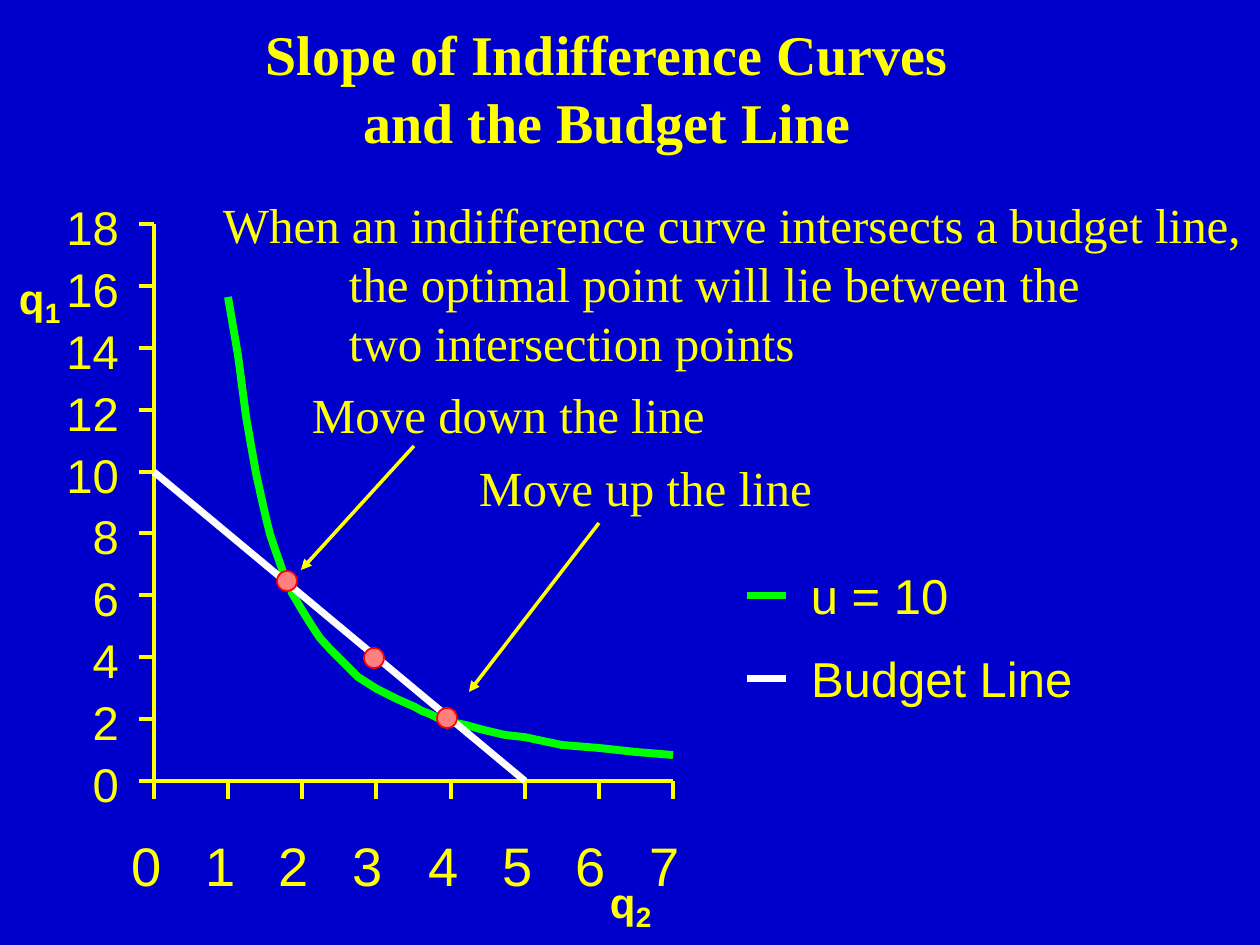
from lxml import etree
from pptx import Presentation
from pptx.dml.color import RGBColor
from pptx.enum.shapes import MSO_CONNECTOR, MSO_SHAPE
from pptx.enum.text import MSO_ANCHOR, MSO_AUTO_SIZE, PP_ALIGN
from pptx.oxml.ns import qn
from pptx.util import Pt

SCALE = 914400 / 126
STRAIGHT, OVAL = MSO_CONNECTOR.STRAIGHT, MSO_SHAPE.OVAL
LEFT, MID, RIGHT = PP_ALIGN.LEFT, PP_ALIGN.CENTER, PP_ALIGN.RIGHT
TOP, FIXED = MSO_ANCHOR.TOP, MSO_AUTO_SIZE.NONE
BLUE, YELLOW, GREEN, WHITE = "0000CC", "FFFF00", "00FF00", "FFFFFF"
PINK, RED = "FF8080", "FF0000"
SANS, SERIF = "Arial", "Times New Roman"
AXIS_X, AXIS_Y, END_X, END_Y = 154, 781, 673, 224
MAX_X, MAX_Y = 7, 18
CURVE = [
    (228, 297), (233, 326), (238, 355), (246, 416), (251, 445), (256, 473),
    (261, 496), (266, 518), (270, 534), (275, 549), (280, 563), (284, 575),
    (289, 583), (292, 593), (302, 610), (312, 626), (320, 638), (330, 649),
    (340, 659), (349, 668), (358, 677), (377, 689), (387, 694), (397, 699),
    (415, 707), (422, 711), (430, 714), (438, 718), (450, 722), (466, 725),
    (484, 730), (505, 735), (524, 737), (562, 745), (599, 748), (636, 752),
    (673, 755),
]


def px(num):
    """Turn pixels into EMU."""
    return round(num * SCALE)


def color(code):
    """Turn a hex string into a colour."""
    return RGBColor.from_string(code)


def plot_x(val):
    """Give the pixel place of a value on the q2 axis."""
    return round(AXIS_X + val * (END_X - AXIS_X) / MAX_X)


def plot_y(val):
    """Give the pixel place of a value on the q1 axis."""
    return round(AXIS_Y - val * (AXIS_Y - END_Y) / MAX_Y)


def apply(item, vals):
    """Set attributes from a dict."""
    for name, val in vals.items():
        setattr(item, name, val)


def stroke(shape, code, width):
    """Format the line of a shape."""
    shape.line.color.rgb = color(code)
    shape.line.width = Pt(width)


def add_line(slide, start, end, code=YELLOW, width=2.75, arrow=False):
    """Draw a straight line, with an arrowhead at its end if asked."""
    line = slide.shapes.add_connector(STRAIGHT, *map(px, start + end))
    stroke(line, code, width)
    props = line._element.spPr
    if arrow:
        etree.SubElement(props.find(qn("a:ln")), qn("a:tailEnd"), type="triangle")
    etree.SubElement(props, qn("a:effectLst"))


def write(shape, lines, size, face=SANS, bold=False, align=LEFT, inset=(0, 0), hang=0):
    """Fill a shape with lines of text, indenting all but the first."""
    frame = shape.text_frame
    side, edge = map(px, inset)
    apply(frame, {
        "word_wrap": False, "auto_size": FIXED, "vertical_anchor": TOP,
        "margin_left": side, "margin_right": side,
        "margin_top": edge, "margin_bottom": edge,
    })
    frame.text = "\n".join(lines)
    for rank, para in enumerate(frame.paragraphs):
        if hang and rank:
            para._p.get_or_add_pPr().set("marL", str(px(hang)))
        para.alignment = align
        apply(para.font, {"name": face, "size": Pt(size), "bold": bold})
        para.font.color.rgb = color(YELLOW)


def add_text(slide, box, lines, size, **style):
    """Add a text box."""
    write(slide.shapes.add_textbox(*map(px, box)), lines, size, **style)


def add_title(slide):
    """Place and fill the title."""
    title = slide.shapes.title
    apply(title, dict(zip(("left", "top", "width", "height"), map(px, (265, 20, 684, 135)))))
    lines = ["Slope of Indifference Curves", "and the Budget Line"]
    write(title, lines, 32, face=SERIF, bold=True, align=MID)


def add_axes(slide):
    """Draw both axes with ticks, numbers and names."""
    add_line(slide, (AXIS_X, END_Y), (AXIS_X, AXIS_Y))
    add_line(slide, (AXIS_X, AXIS_Y), (END_X, AXIS_Y))
    for val in range(0, MAX_Y + 1, 2):
        y, text = plot_y(val), str(val)
        wide = 26 * len(text)
        add_line(slide, (139, y), (AXIS_X, y))
        add_text(slide, (119 - wide, y - 26, wide, 57), [text], 27, align=RIGHT)
    for val in range(MAX_X + 1):
        x = plot_x(val)
        add_line(slide, (x, 799), (x, AXIS_Y))
        add_text(slide, (x - 23, 832, 30, 66), [str(val)], 31)
    for x, y, sub in ((19, 273, "1"), (610, 877, "2")):
        add_text(slide, (x, y, 25, 50), ["q"], 24, bold=True)
        add_text(slide, (x + 26, y + 23, 15, 34), [sub], 16, bold=True)


def add_curve(slide):
    """Draw the indifference curve."""
    pen = slide.shapes.build_freeform(*CURVE[0], scale=SCALE)
    pen.add_line_segments(CURVE[1:], close=False)
    curve = pen.convert_to_shape()
    curve.shadow.inherit = False
    curve.fill.background()
    stroke(curve, GREEN, 4.5)


def add_dot(slide, x, y):
    """Mark a point on the budget line."""
    dot = slide.shapes.add_shape(OVAL, *map(px, (x - 10, y - 10, 20, 20)))
    dot.shadow.inherit = False
    dot.fill.solid()
    dot.fill.fore_color.rgb = color(PINK)
    stroke(dot, RED, 1)


def add_key(slide, y, text, code, wide):
    """Add one legend entry."""
    add_line(slide, (747, y), (786, y), code, 4)
    add_text(slide, (811, y - 31, wide, 59), [text], 28)


def add_note(slide, box, lines, hang=0):
    """Add a serif remark."""
    add_text(slide, box, lines, 28, face=SERIF, inset=(13, 6), hang=hang)


def main():
    """Build the slide."""
    deck = Presentation()
    apply(deck, {"slide_width": px(1260), "slide_height": px(945)})
    slide = deck.slides.add_slide(deck.slide_layouts[5])
    back = slide.background.fill
    back.solid()
    back.fore_color.rgb = color(BLUE)
    add_title(slide)
    add_axes(slide)
    add_curve(slide)
    add_line(slide, (plot_x(0), plot_y(10)), (plot_x(5), plot_y(0)), WHITE, 4)
    add_key(slide, 596, "u = 10", GREEN, 137)
    add_key(slide, 679, "Budget Line", WHITE, 261)
    add_note(slide, (210, 189, 1043, 189), [
        "When an indifference curve intersects a budget line,",
        "the optimal point will lie between the",
        "two intersection points",
    ], hang=126)
    add_note(slide, (299, 378, 417, 72), ["Move down the line"])
    add_line(slide, (414, 446), (301, 570), width=2, arrow=True)
    add_note(slide, (466, 451, 358, 72), ["Move up the line"])
    add_line(slide, (599, 523), (469, 692), width=2, arrow=True)
    for x, y in ((287, 581), (374, 658), (447, 718)):
        add_dot(slide, x, y)
    deck.save("out.pptx")


if __name__ == "__main__":
    main()
